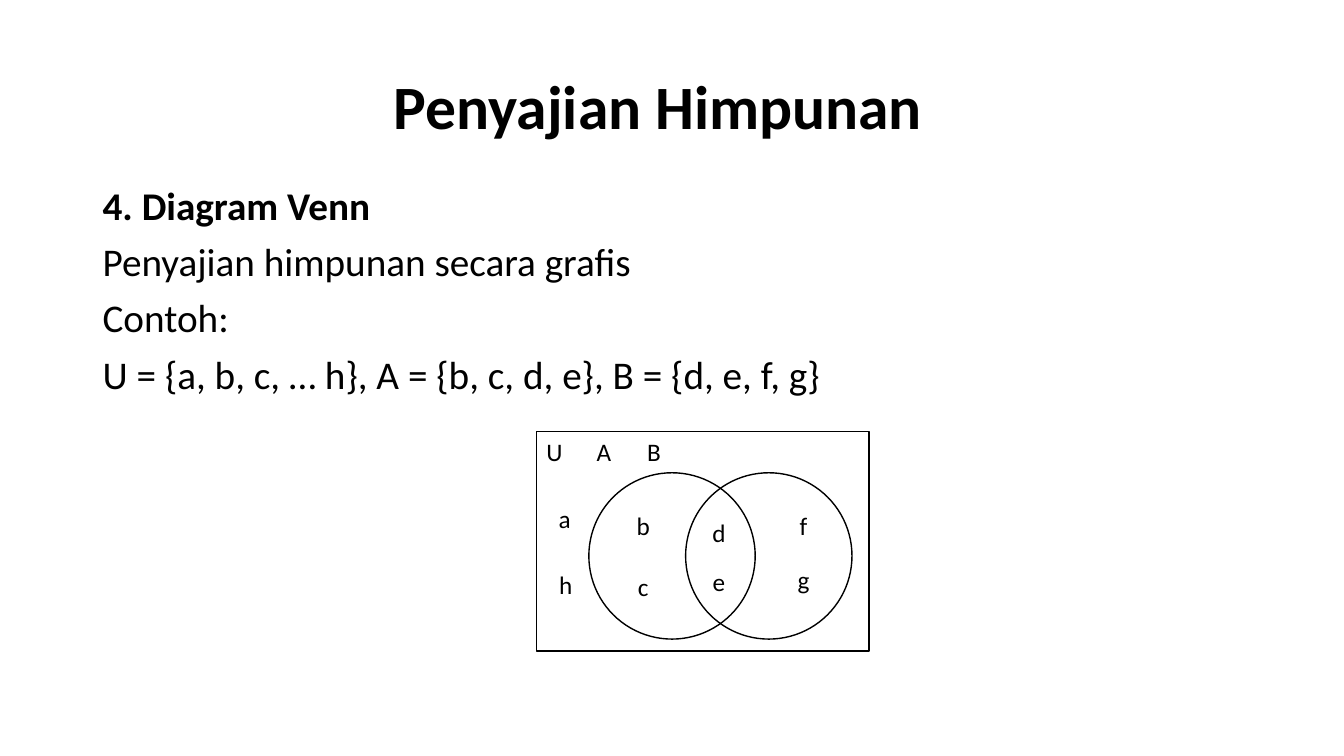
from dataclasses import dataclass

from pptx import Presentation
from pptx.dml.color import RGBColor
from pptx.enum.shapes import MSO_SHAPE as Shape
from pptx.enum.text import MSO_ANCHOR as Anchor, PP_ALIGN as Align
from pptx.util import Inches, Pt


@dataclass(frozen=True)
class Theme:
    font: str = "Calibri"
    ink: RGBColor = RGBColor(0, 0, 0)
    paper: RGBColor = RGBColor(255, 255, 255)
    title_size: int = 44
    body_size: int = 28
    label_size: int = 18
    line_width: int = 1


theme = Theme()


def write(paragraph, text, size, bold=False, align=Align.LEFT, spacing=1.0, before=0):
    paragraph.alignment = align
    paragraph.line_spacing = spacing
    paragraph.space_before = Pt(before)
    run = paragraph.add_run()
    run.text = text
    run.font.name = theme.font
    run.font.size = Pt(size)
    run.font.bold = bold
    run.font.color.rgb = theme.ink


def add_figure(kind, left, top, width, height, filled=True, outlined=True):
    """Add a shape, measured in inches, in the theme's black and white."""
    shape = slide.shapes.add_shape(
        kind, Inches(left), Inches(top), Inches(width), Inches(height))
    shape.shadow.inherit = False
    if filled:
        shape.fill.solid()
        shape.fill.fore_color.rgb = theme.paper
    else:
        shape.fill.background()
    if outlined:
        shape.line.color.rgb = theme.ink
        shape.line.width = Pt(theme.line_width)
    else:
        shape.line.fill.background()
    return shape


presentation = Presentation()
presentation.slide_width = Inches(13.33)
presentation.slide_height = Inches(7.5)
slide = presentation.slides.add_slide(presentation.slide_layouts[5])

# Title
title = slide.shapes.title
title.left, title.top = Inches(0.78), Inches(0.36)
title.width, title.height = Inches(11.5), Inches(1.45)
title.text_frame.vertical_anchor = Anchor.MIDDLE
write(title.text_frame.paragraphs[0], "Penyajian Himpunan", theme.title_size,
      bold=True, align=Align.CENTER, spacing=0.9)

# Explanation
explanation = slide.shapes.add_textbox(
    Inches(0.92), Inches(1.8), Inches(11.5), Inches(4.95)).text_frame
explanation.word_wrap = True
lines = [
    "4. Diagram Venn",
    "Penyajian himpunan secara grafis",
    "Contoh:",
    "U = {a, b, c, … h}, A = {b, c, d, e}, B = {d, e, f, g}",
]
for index, line in enumerate(lines):
    paragraph = explanation.add_paragraph() if index else explanation.paragraphs[0]
    write(paragraph, line, theme.body_size, bold=index == 0, spacing=0.9, before=10)

# Venn diagram: universe, then the two overlapping sets
universe = add_figure(Shape.RECTANGLE, 5.32, 4.28, 3.3, 2.18)
universe.text_frame.vertical_anchor = Anchor.TOP
write(universe.text_frame.paragraphs[0], "U\tA\tB", theme.label_size)

diameter = 1.65
for left, filled in ((5.84, True), (6.8, False)):
    add_figure(Shape.FLOWCHART_CONNECTOR, left, 4.69, diameter, diameter, filled=filled)

# Members of the sets
members = {
    "b": (6.22, 5.03), "c": (6.22, 5.63),
    "d": (6.97, 5.1), "e": (6.97, 5.58),
    "f": (7.81, 5.03), "g": (7.81, 5.56),
    "a": (5.44, 4.96), "h": (5.45, 5.61),
}
for member, (left, top) in members.items():
    label = add_figure(Shape.RECTANGLE, left, top, 0.32, 0.37, outlined=False)
    frame = label.text_frame
    frame.margin_left = frame.margin_right = 0
    frame.vertical_anchor = Anchor.MIDDLE
    write(frame.paragraphs[0], member, theme.label_size, align=Align.CENTER)

presentation.save("out.pptx")
